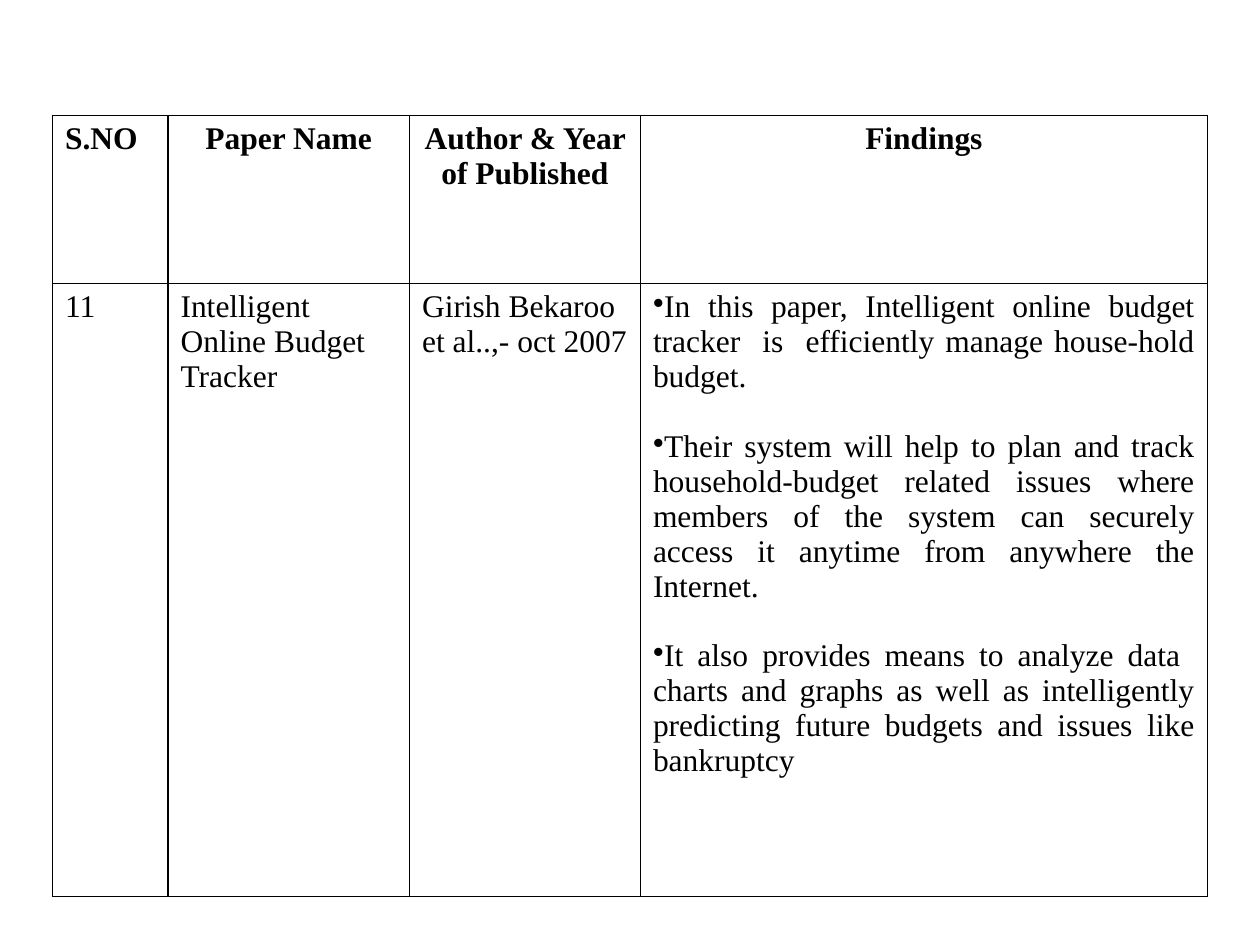
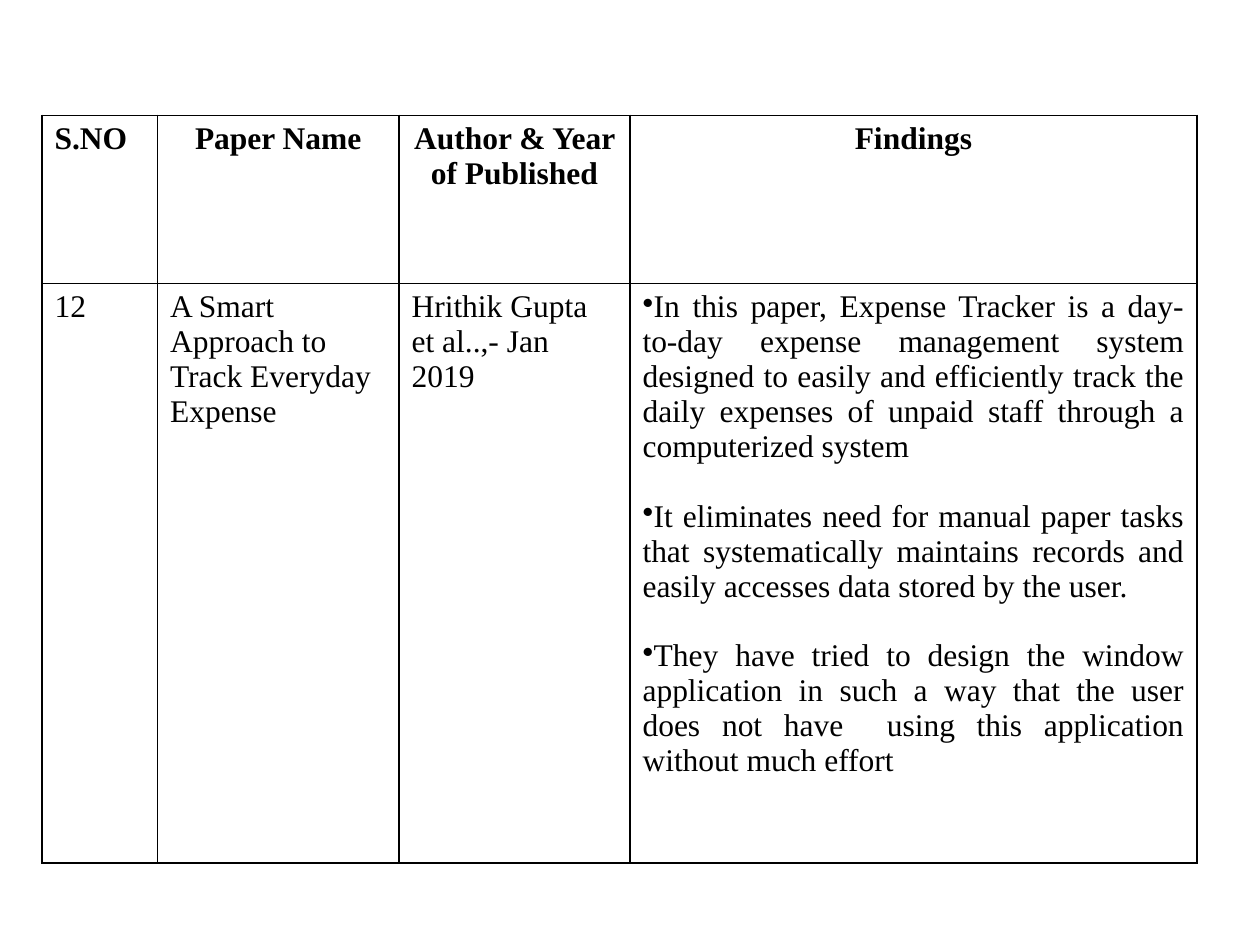
from lxml.etree import SubElement
from pptx import Presentation
from pptx.dml.color import RGBColor
from pptx.enum.text import MSO_ANCHOR, PP_ALIGN
from pptx.oxml.ns import qn
from pptx.util import Inches, Pt

# The grid: 120 columns by 90 rows on a 10 by 7.5 inch slide
GRID_COLUMNS, GRID_ROWS = 120, 90
HEADINGS = ["S.NO", "Paper Name", "Author & Year of Published", "Findings"]


def colour(value):
    return RGBColor.from_string(value)


def write(frame, paragraphs, font, size, ink, bold=False,
          align=PP_ALIGN.LEFT, bullet=None, gap=0):
    """Fill a text frame, with a gap in points between its paragraphs."""
    frame.word_wrap = True
    for index, text in enumerate(paragraphs):
        para = frame.add_paragraph() if index else frame.paragraphs[0]
        para.alignment = align
        para.space_before = Pt(gap if index else 0)
        if bullet:
            SubElement(para._p.get_or_add_pPr(), qn("a:buChar"), char=bullet)
        span = para.add_run()
        span.text = text
        span.font.name = font
        span.font.size = Pt(size)
        span.font.bold = bold
        span.font.color.rgb = colour(ink)


class Survey:
    """The style of the literature survey and its current slide."""
    font, size, ink, paper = "Times New Roman", 18, "000000", "FFFFFF"
    border = 1
    top, heading_height = 11, 16
    column_widths = [11, 23, 22, 54]

    def __init__(self):
        self.deck = Presentation()
        self.deck.slide_width = Inches(10)
        self.deck.slide_height = Inches(7.5)
        self.page = None

    def across(self, columns):
        return round(self.deck.slide_width * columns / GRID_COLUMNS)

    def down(self, rows):
        return round(self.deck.slide_height * rows / GRID_ROWS)

    def add_page(self):
        self.page = self.deck.slides.add_slide(self.deck.slide_layouts[6])
        fill = self.page.background.fill
        fill.solid()
        fill.fore_color.rgb = colour(self.paper)

    def frame_cell(self, cell):
        """Draw four borders and a plain fill."""
        properties = cell._tc.get_or_add_tcPr()
        for side in ("lnL", "lnR", "lnT", "lnB"):
            line = SubElement(properties, qn(f"a:{side}"), w=str(Pt(self.border)))
            fill = SubElement(line, qn("a:solidFill"))
            SubElement(fill, qn("a:srgbClr"), val=self.ink)
        cell.fill.solid()
        cell.fill.fore_color.rgb = colour(self.paper)
        cell.vertical_anchor = MSO_ANCHOR.TOP

    def add_table(self, left, entry_height, entry):
        heights = [self.heading_height, entry_height]
        table = self.page.shapes.add_table(
            len(heights), len(HEADINGS), self.across(left), self.down(self.top),
            self.across(sum(self.column_widths)), self.down(sum(heights))).table
        table.first_row = table.horz_banding = False
        for column, width in zip(table.columns, self.column_widths):
            column.width = self.across(width)
        for row, height in zip(table.rows, heights):
            row.height = self.down(height)

        style = dict(font=self.font, size=self.size, ink=self.ink)
        for index, (heading, content) in enumerate(zip(HEADINGS, entry)):
            title, body = table.cell(0, index), table.cell(1, index)
            self.frame_cell(title)
            self.frame_cell(body)
            write(title.text_frame, [heading], bold=True,
                  align=PP_ALIGN.CENTER if index else PP_ALIGN.LEFT, **style)
            if isinstance(content, list):
                write(body.text_frame, content, align=PP_ALIGN.JUSTIFY,
                      bullet="•", gap=20, **style)
            else:
                write(body.text_frame, [content], **style)


# Each paper: left edge and entry height on the grid, then the entry itself
PAPERS = [
    (5, 58.4, [
        "11",
        "Intelligent Online Budget Tracker",
        "Girish Bekaroo et al..,- oct 2007",
        ["In this paper, Intelligent online budget tracker  is  efficiently "
         "manage house-hold budget. ",
         "Their system will help to plan and track household-budget related "
         "issues where members of the system can securely access it anytime "
         "from anywhere the Internet. ",
         "It also provides means to analyze data  charts and graphs as well as "
         "intelligently predicting future budgets and issues like bankruptcy"],
    ]),
    (4, 55.2, [
        "12",
        "A Smart Approach to Track Everyday Expense ",
        "Hrithik Gupta et al..,- Jan 2019",
        ["In this paper, Expense Tracker is a day-to-day expense management "
         "system designed to easily and efficiently track the daily expenses "
         "of unpaid staff through a computerized system ",
         "It eliminates need for manual paper tasks that systematically "
         "maintains records and easily accesses data stored by the user.",
         "They have tried to design the window application in such a way that "
         "the user does not have  using this application without much effort"],
    ]),
]

survey = Survey()
for left, entry_height, entry in PAPERS:
    survey.add_page()
    survey.add_table(left, entry_height, entry)
survey.deck.save("out.pptx")
